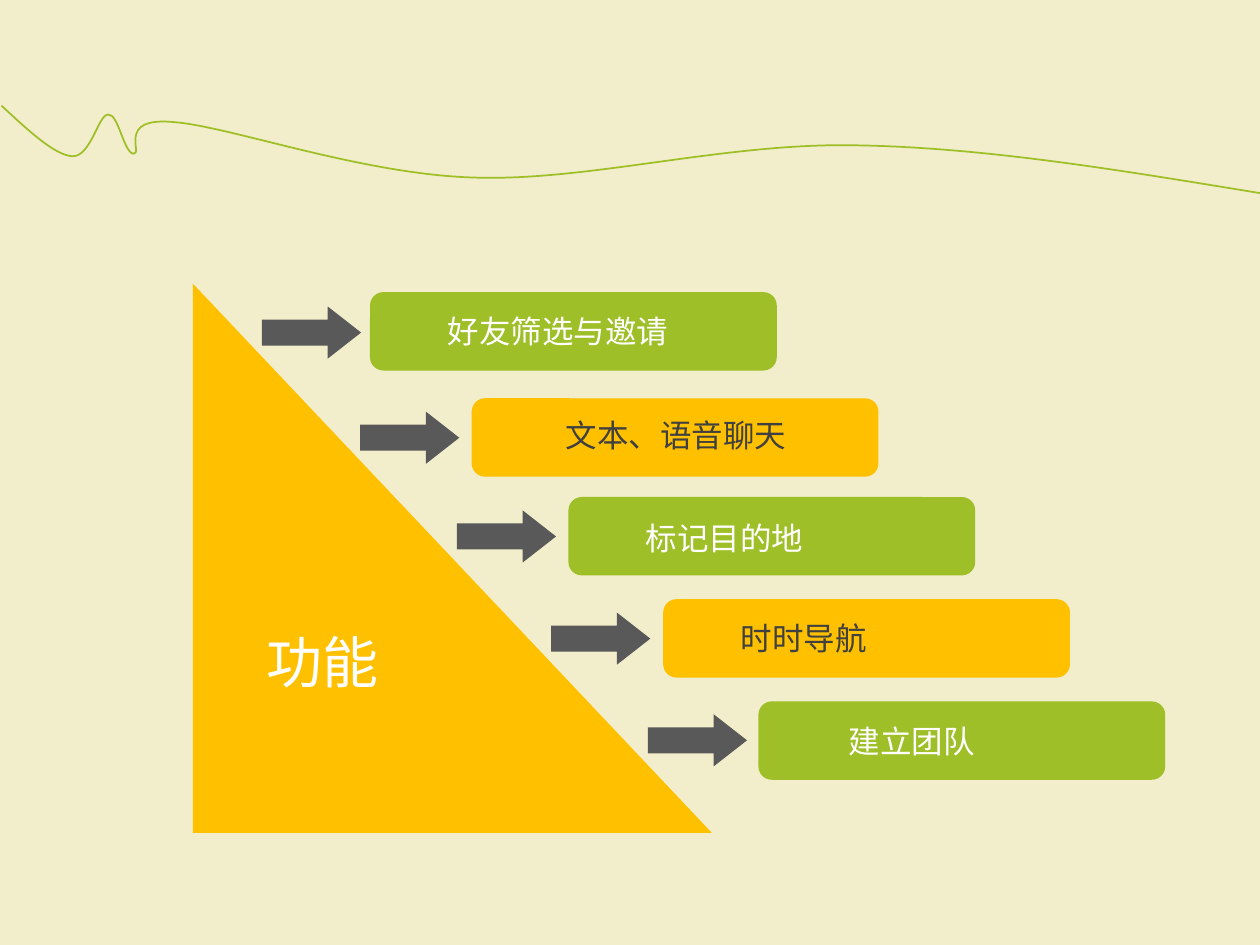
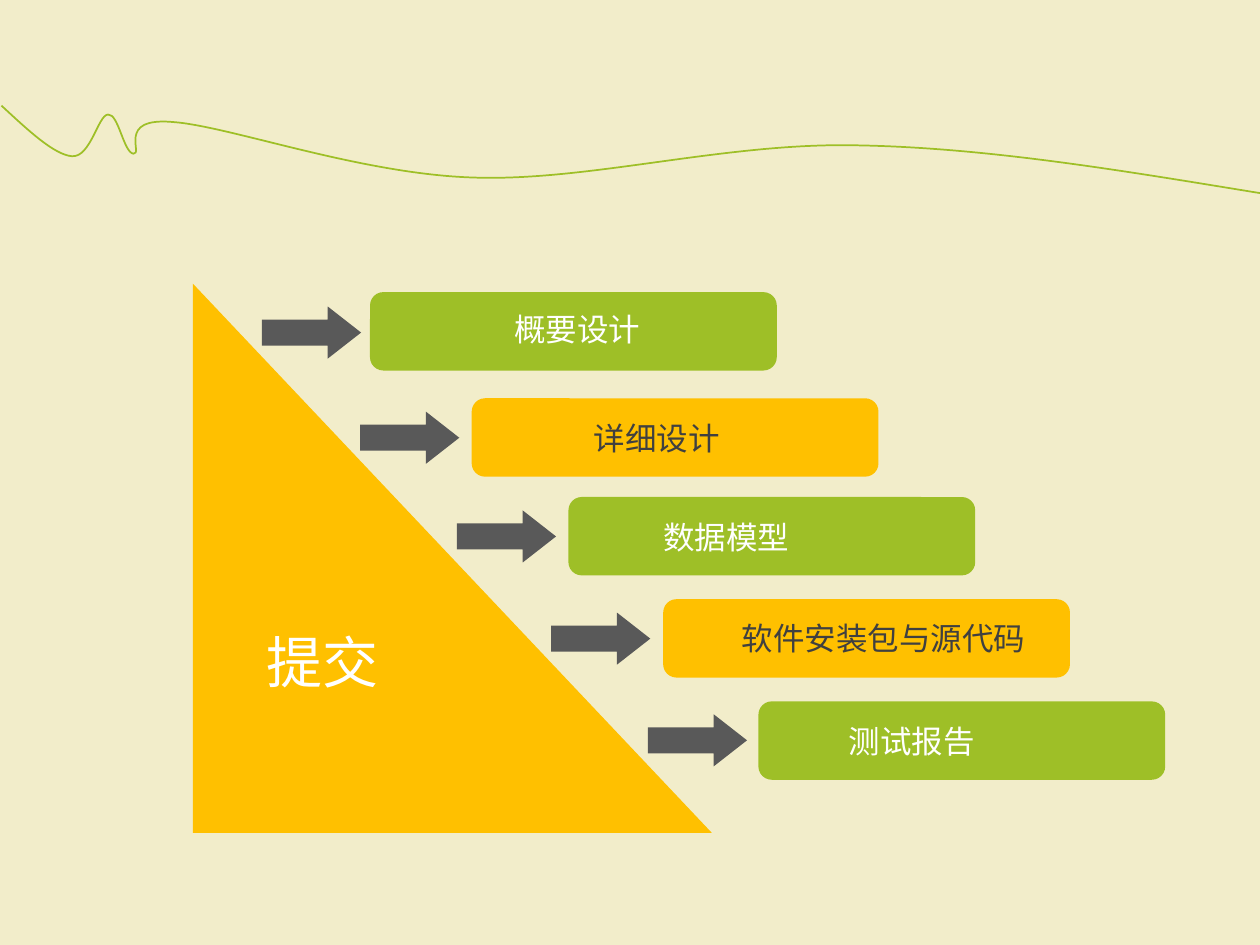
from lxml import etree
from pptx import Presentation
from pptx import util as u
from pptx.dml.color import RGBColor
from pptx.enum import shapes, text
from pptx.oxml.ns import qn

COLORS = {
    "paper": "F2EDCA",
    "green": "9EBF27",
    "amber": "FFC000",
    "gray": "595959",
    "dark": "404040",
    "white": "FFFFFF",
}
FONT = "Noto Sans CJK SC"
CM_PER_PT = 2.54 / 72
FRAME = {"word_wrap": False, "auto_size": text.MSO_AUTO_SIZE.SHAPE_TO_FIT_TEXT}

# All lengths are centimetres.
PAGE = (25.4, 19.05)
WAVE_START = (0.03, 2.13)
# Two control points and the end point of each curve
WAVE = [
    ((0.56, 2.62), (1.09, 3.12), (1.45, 3.15)),
    ((1.83, 3.18), (1.98, 2.31), (2.18, 2.31)),
    ((2.39, 2.29), (2.49, 3.07), (2.69, 3.1)),
    ((2.9, 3.12), (2.34, 2.36), (3.48, 2.46)),
    ((4.62, 2.54), (7.26, 3.51), (9.55, 3.58)),
    ((11.86, 3.66), (14.58, 2.88), (17.22, 2.93)),
    ((19.89, 2.97), (22.68, 3.45), (25.5, 3.91)),
]

TRIANGLE = (3.89, 5.72, 10.46, 11.07)
HEADING_AT = (5.13, 12.52)
BAR_SIZE = (8.2, 1.58)
ARROW_SIZE = (2.0, 1.05)
# Left and top of the arrow, left and top of the bar
STEPS = [
    ((5.28, 6.18), (7.46, 5.89)),
    ((7.26, 8.3), (9.51, 8.03)),
    ((9.21, 10.29), (11.46, 10.02)),
    ((11.11, 12.35), (13.37, 12.08)),
    ((13.06, 14.4), (15.29, 14.14)),
]
BAR_STYLES = [("green", "white"), ("amber", "dark")]

SLIDES = [
    ("功能", [
        ("好友筛选与邀请", 8.78, 6.17),
        ("文本、语音聊天", 11.15, 8.26),
        ("标记目的地", 12.77, 10.34),
        ("时时导航", 14.68, 12.35),
        ("建立团队", 16.86, 14.43),
    ]),
    ("提交", [
        ("概要设计", 10.12, 6.12),
        ("详细设计", 11.72, 8.33),
        ("数据模型", 13.12, 10.31),
        ("软件安装包与源代码", 14.7, 12.35),
        ("测试报告", 16.86, 14.43),
    ]),
]


def rgb(name):
    return RGBColor.from_string(COLORS[name])


class Deck:
    def __init__(self):
        self.prs = Presentation()
        self.prs.slide_width, self.prs.slide_height = map(u.Cm, PAGE)
        self.s = None

    def new_slide(self):
        self.s = self.prs.slides.add_slide(self.prs.slide_layouts[6])

    def share(self, *parts):
        """Move shapes from the current slide to the slide master."""
        for sp in parts:
            self.prs.slide_master.shapes._spTree.append(sp._element)

    def wave(self):
        builder = self.s.shapes.build_freeform(*map(u.Cm, WAVE_START))
        builder.add_line_segments(
            [tuple(map(u.Cm, curve[-1])) for curve in WAVE], close=False)
        sp = builder.convert_to_shape()
        sp.shadow.inherit = False
        sp.fill.background()
        sp.line.color.rgb = rgb("green")
        sp.line.width = u.Pt(1)
        for line, curve in zip(list(sp._element.iter(qn("a:lnTo"))), WAVE):
            bend = etree.Element(qn("a:cubicBezTo"))
            for x, y in curve:
                etree.SubElement(bend, qn("a:pt"), x=str(u.Cm(x) - sp.left),
                                 y=str(u.Cm(y) - sp.top))
            line.getparent().replace(line, bend)
        return sp

    def shape(self, kind, box, color, adjustments=()):
        sp = self.s.shapes.add_shape(kind, *map(u.Cm, box))
        sp.shadow.inherit = False
        sp.fill.solid()
        sp.fill.fore_color.rgb = rgb(color)
        sp.line.fill.background()
        for i, value in enumerate(adjustments):
            sp.adjustments[i] = value
        return sp

    def label(self, words, x, y, color, size=18):
        """Add one line of text in a box sized to its full-width characters."""
        w = len(words) * size * CM_PER_PT + 0.51
        h = 1.2 * size * CM_PER_PT + 0.25
        tf = self.s.shapes.add_textbox(*map(u.Cm, (x, y, w, h))).text_frame
        for name, value in FRAME.items():
            setattr(tf, name, value)
        r = tf.paragraphs[0].add_run()
        r.text = words
        for name, value in {"name": FONT, "size": u.Pt(size)}.items():
            setattr(r.font, name, value)
        r.font.color.rgb = rgb(color)
        etree.SubElement(r._r.get_or_add_rPr(), qn("a:ea"), typeface=FONT)

    def stairs(self, heading, items):
        """Draw the triangle with one arrow and one bar for each item."""
        kinds = shapes.MSO_SHAPE
        self.shape(kinds.RIGHT_TRIANGLE, TRIANGLE, "amber")
        for i, (arrow_at, bar_at) in enumerate(STEPS):
            bar_color, text_color = BAR_STYLES[i % 2]
            self.shape(kinds.ROUNDED_RECTANGLE, bar_at + BAR_SIZE,
                       bar_color, [0.17])
            self.shape(kinds.RIGHT_ARROW, arrow_at + ARROW_SIZE,
                       "gray", [0.5, 0.64])
            self.label(*items[i], text_color)
        self.label(heading, *HEADING_AT, "white", 32)


def main():
    deck = Deck()
    for i, (heading, items) in enumerate(SLIDES):
        deck.new_slide()
        if i == 0:
            paper = deck.shape(shapes.MSO_SHAPE.RECTANGLE, (0, 0) + PAGE, "paper")
            deck.share(paper, deck.wave())
        deck.stairs(heading, items)
    deck.prs.save("out.pptx")


if __name__ == "__main__":
    main()
